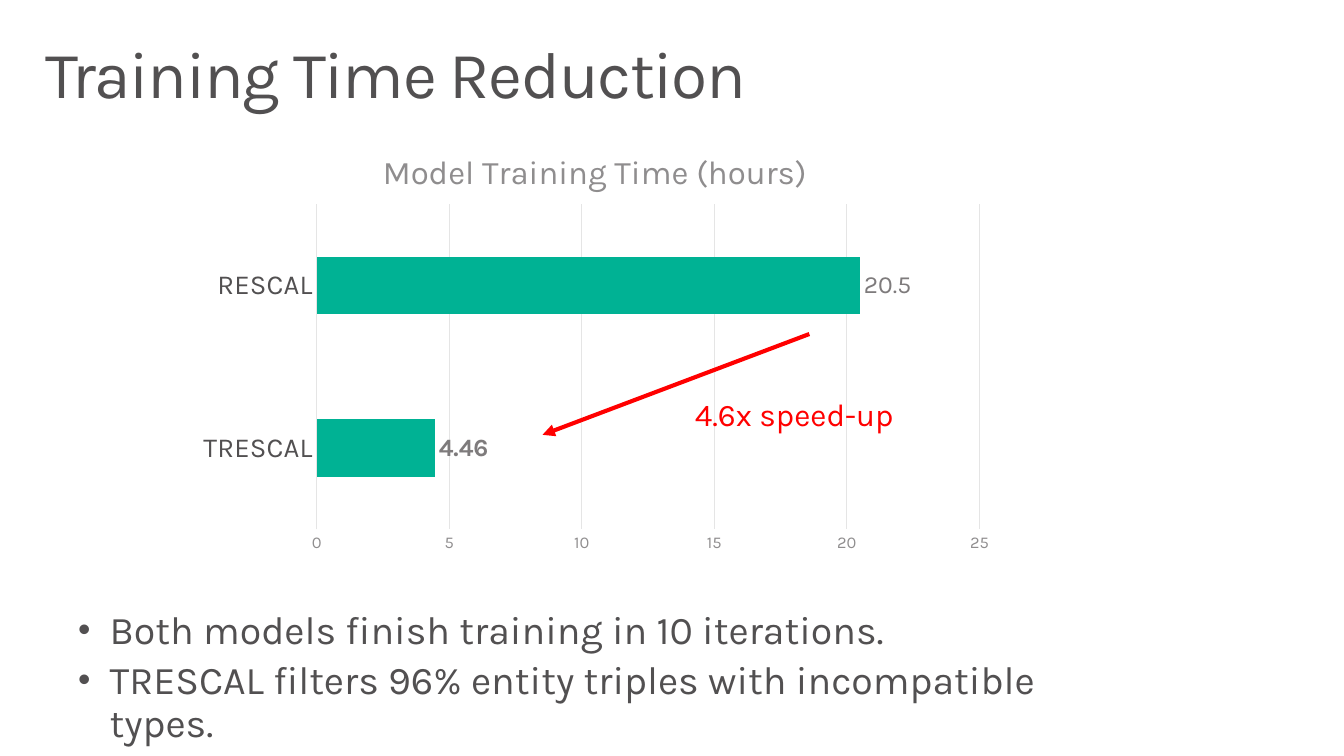
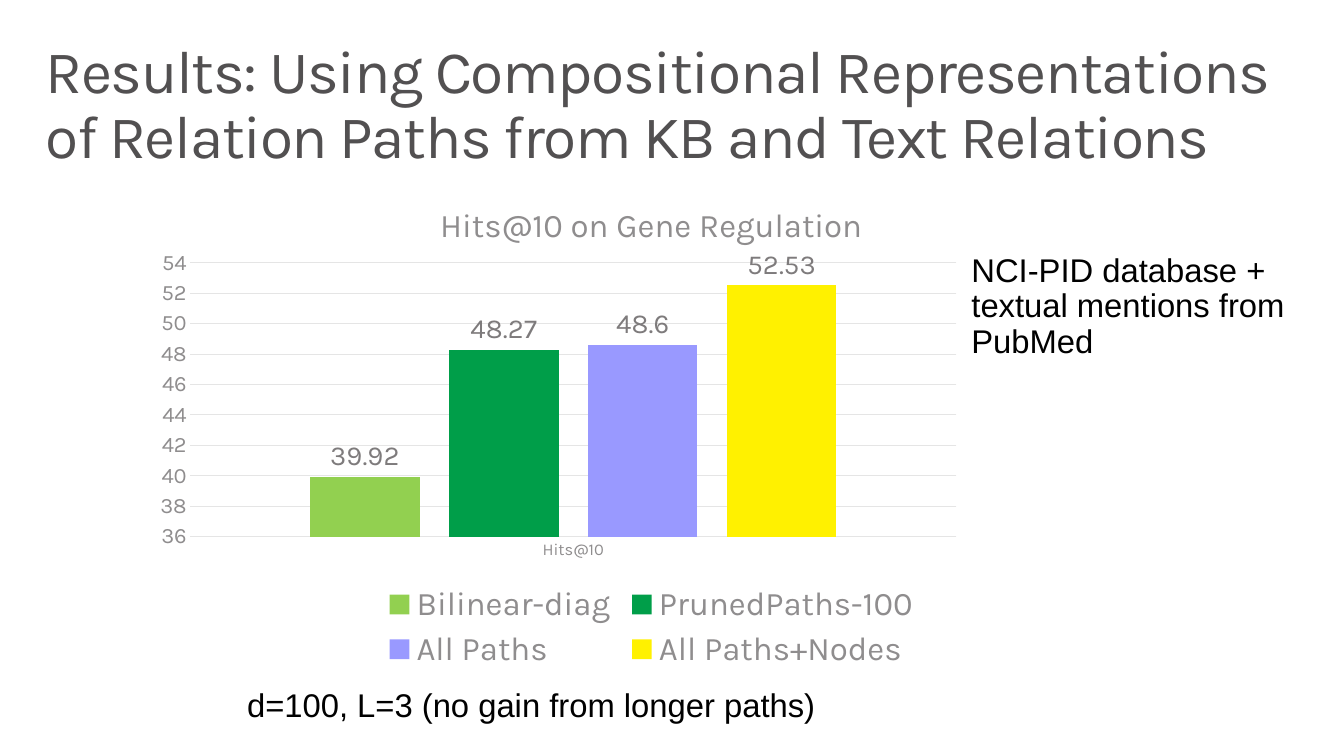
from pptx import Presentation
from pptx.chart.data import CategoryChartData
from pptx.dml.color import RGBColor
from pptx.enum.chart import (XL_CHART_TYPE, XL_LABEL_POSITION,
                             XL_LEGEND_POSITION, XL_TICK_MARK)
from pptx.enum.shapes import MSO_CONNECTOR
from pptx.enum.text import MSO_AUTO_SIZE
from pptx.oxml.ns import qn
from pptx.util import Pt
from lxml.etree import SubElement

FONT = "Karla"
DARK, GREY, LABEL, GRID = "525051", "8F8D8E", "7E7B7C", "E5E5E5"
RED, BLACK, TEAL = "FF0000", "000000", "00B294"
NOTE = dict(size=23.9, color=BLACK, font="Arial", inset=(20, 16), after=6)


def px(n):
    """Turn px, 100 to the inch, into EMU."""
    return int(n * 9144)


def rgb(code):
    """Turn a hex string into a colour."""
    return RGBColor.from_string(code)


def style(font, size, color, name=FONT, bold=False):
    """Set the look of a font."""
    font.size, font.name, font.bold = Pt(size), name, bold
    font.color.rgb = rgb(color)


def bullet(para):
    """Give a paragraph a hanging bullet."""
    props = para._p.get_or_add_pPr()
    props.set("marL", str(px(32)))
    props.set("indent", str(px(-32)))
    SubElement(props, qn("a:buSzPct"), val="90000")
    SubElement(props, qn("a:buFont"), typeface="Arial")
    SubElement(props, qn("a:buChar"), char="•")


def text(slide, box, lines, size=24, color=DARK, font=FONT, inset=(16, 10),
         after=0, gap=0, dots=False, track=0, grow=True):
    """Add a text box with one paragraph for each line."""
    frame = slide.shapes.add_textbox(*map(px, box)).text_frame
    frame.word_wrap = True
    frame.auto_size = (MSO_AUTO_SIZE.SHAPE_TO_FIT_TEXT if grow
                       else MSO_AUTO_SIZE.NONE)
    frame.margin_left = frame.margin_right = px(inset[0])
    frame.margin_top = frame.margin_bottom = px(inset[1])
    for i, line in enumerate(lines):
        para = frame.add_paragraph() if i else frame.paragraphs[0]
        if dots:
            bullet(para)
        para.line_spacing = 0.9
        para.space_after = Pt(after)
        if i:
            para.space_before = Pt(gap)
        run = para.add_run()
        run.text = line
        style(run.font, size, color, font)
        if track:
            run._r.get_or_add_rPr().set("spc", str(track * 100))


def title(slide, words, size, high):
    """Add the slide title."""
    text(slide, (30, 32, 1300, high), [words], size=size, track=-1, grow=False)


def arrow(slide, start, end, color, width):
    """Draw a straight arrow from start to end."""
    line = slide.shapes.add_connector(MSO_CONNECTOR.STRAIGHT,
                                      *map(px, start + end))
    line.line.color.rgb = rgb(color)
    line.line.width = Pt(width)
    SubElement(line.line._get_or_add_ln(), qn("a:tailEnd"), type="triangle")
    SubElement(line._element.spPr, qn("a:effectLst"))


def place(plot, area):
    """Fix the inner plot area as shares of the chart."""
    host = plot._element.getparent()
    for old in host.findall(qn("c:layout")):
        host.remove(old)
    layout = SubElement(host, qn("c:layout"))
    host.insert(0, layout)
    manual = SubElement(layout, qn("c:manualLayout"))
    SubElement(manual, qn("c:layoutTarget"), val="inner")
    for key in ("xMode", "yMode"):
        SubElement(manual, qn("c:" + key), val="edge")
    for key, share in zip("xywh", area):
        SubElement(manual, qn("c:" + key), val=str(share))


def axes(chart, cat, val, scale):
    """Style both axes and scale the value axis."""
    for axis, look in ((chart.category_axis, cat), (chart.value_axis, val)):
        axis.major_tick_mark = axis.minor_tick_mark = XL_TICK_MARK.NONE
        style(axis.tick_labels.font, *look)
    base, axis = chart.category_axis, chart.value_axis
    base.has_major_gridlines = False
    axis.has_major_gridlines = True
    for line in (base.format.line, axis.major_gridlines.format.line):
        line.color.rgb = rgb(GRID)
        line.width = Pt(0.75)
    axis.format.line.fill.background()
    axis.minimum_scale, axis.maximum_scale, axis.major_unit = scale


def bars(slide, box, kind, head, cats, rows, cat, val, scale, area,
         gap, size, lap=0):
    """Add a bar chart from rows of name, values and colour."""
    data = CategoryChartData()
    data.categories = cats
    for name, vals, _ in rows:
        data.add_series(name, vals)
    chart = slide.shapes.add_chart(kind, *map(px, box), data).chart
    style(chart.font, 10, DARK)
    chart.has_title = True
    frame = chart.chart_title.text_frame
    frame.text = head
    style(frame.paragraphs[0].runs[0].font, 24, GREY)
    chart.has_legend = False
    axes(chart, cat, val, scale)
    plot = chart.plots[0]
    plot.vary_by_categories = False
    plot.gap_width, plot.overlap = gap, lap
    place(plot, area)
    for row, (_, _, color) in zip(plot.series, rows):
        row.format.fill.solid()
        row.format.fill.fore_color.rgb = rgb(color)
        row.invert_if_negative = False
        tags = row.data_labels
        tags.show_value = True
        tags.position = XL_LABEL_POSITION.OUTSIDE_END
        style(tags.font, size, LABEL)
    return chart


def speed(slide):
    """Build the training time slide."""
    title(slide, "Training Time Reduction", 48, 100)
    chart = bars(slide, (188, 133, 828, 433), XL_CHART_TYPE.BAR_CLUSTERED,
                 "Model Training Time (hours)", ["TRESCAL", "RESCAL"],
                 [("Series 1", (4.46, 20.5), TEAL)],
                 cat=(20, DARK), val=(12, GREY), scale=(0, 25, 5),
                 area=(0.16, 0.17, 0.81, 0.76), gap=182, size=18)
    tag = chart.plots[0].series[0].points[0].data_label
    style(tag.font, 18, LABEL, bold=True)
    tag.position = XL_LABEL_POSITION.OUTSIDE_END
    arrow(slide, (819, 338), (549, 440), RED, 3)
    text(slide, (684, 389, 249, 66), ["4.6x speed-up"], size=22.9, color=RED,
         inset=(19, 15), after=5.7)
    text(slide, (66, 610, 1036, 115),
         ["Both models finish training in 10 iterations.",
          "TRESCAL filters 96% entity triples with incompatible types."],
         size=28.6, inset=(13, 8), gap=5.7, dots=True)


def hits(slide):
    """Build the relation path results slide."""
    title(slide, "Results: Using Compositional Representations of Relation "
          "Paths from KB and Text Relations", 44, 153)
    rows = [("Bilinear-diag", [39.92], "92D050"),
            ("PrunedPaths-100", [48.27], "009E49"),
            ("All Paths", [48.6], "9999FF"),
            ("All Paths+Nodes", [52.53], "FFF100")]
    chart = bars(slide, (123, 185, 1072, 498), XL_CHART_TYPE.COLUMN_CLUSTERED,
                 "Hits@10 on Gene Regulation", ["Hits@10"], rows,
                 cat=(12, GREY), val=(16, GREY), scale=(36, 55, 2),
                 area=(0.065, 0.132, 0.723, 0.587), gap=219, size=20, lap=-27)
    chart.has_legend = True
    chart.legend.position = XL_LEGEND_POSITION.BOTTOM
    chart.legend.include_in_layout = False
    style(chart.legend.font, 24, GREY)
    text(slide, (963, 241, 391, 143),
         ["NCI-PID database + textual mentions from PubMed"], **NOTE)
    text(slide, (230, 681, 732, 69),
         ["d=100, L=3 (no gain from longer paths)"], **NOTE)


def main():
    """Build and save the deck."""
    deck = Presentation()
    deck.slide_width, deck.slide_height = px(1360), px(765)
    for build in (speed, hits):
        build(deck.slides.add_slide(deck.slide_layouts[6]))
    deck.save("out.pptx")


if __name__ == "__main__":
    main()
